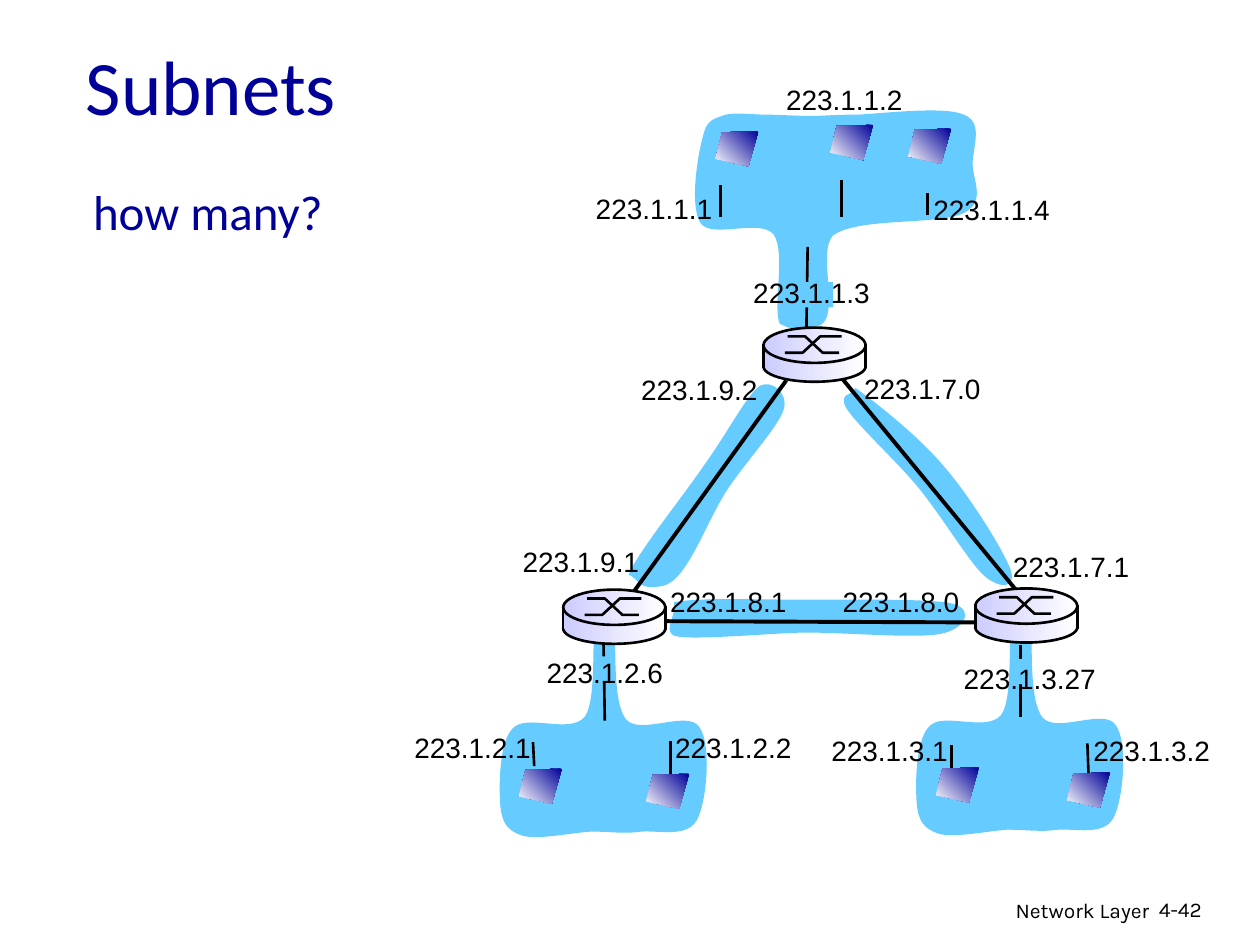
from lxml import etree
from pptx import Presentation
from pptx.dml.color import RGBColor
from pptx.enum.shapes import MSO_CONNECTOR, MSO_SHAPE
from pptx.enum.text import MSO_ANCHOR, PP_ALIGN
from pptx.oxml.ns import qn
from pptx.util import Cm, Pt

LINE = MSO_CONNECTOR.STRAIGHT
RECT, OVAL = MSO_SHAPE.RECTANGLE, MSO_SHAPE.OVAL
LEFT, RIGHT = PP_ALIGN.LEFT, PP_ALIGN.RIGHT
MID = MSO_ANCHOR.MIDDLE
U = Cm(2.54) // 100  # all places below count in this unit


class Theme:
    ink = RGBColor(0, 0, 0)
    navy = RGBColor(0, 0, 0x99)
    sky = RGBColor(0x66, 0xCC, 0xFF)
    lilac = RGBColor(0xCC, 0xCC, 0xFF)
    white = RGBColor(0xFF, 0xFF, 0xFF)
    head, body, label, foot = Pt(44), Pt(28), Pt(16), Pt(12)
    thin, thick = Pt(1.5), Pt(2.25)


def line(shapes, ends, width):
    link = shapes.add_connector(LINE, *[v * U for v in ends])
    link.line.color.rgb = Theme.ink
    link.line.width = width
    etree.SubElement(link._element.spPr, qn("a:effectLst"))


def outline(shapes, dots, close=True):
    dots = [(round(x * U), round(y * U)) for x, y in dots]
    form = shapes.build_freeform(*dots[0])
    form.add_line_segments(dots[1:], close=close)
    shape = form.convert_to_shape()
    shape.shadow.inherit = False
    return shape


prs = Presentation()
prs.slide_width, prs.slide_height = Cm(25.4), Cm(19.05)
slide = prs.slides.add_slide(prs.slide_layouts[5])
shapes = slide.shapes

# Subnet areas: a start point, then two handles and an end for each curve
leaf = [(474, 493),
        (468, 494), (475, 554), (464, 569), (452, 583), (418, 566), (407, 578),
        (396, 589), (396, 624), (397, 638), (398, 652), (402, 659), (414, 663),
        (426, 667), (453, 661), (469, 660), (485, 660), (495, 662), (509, 660),
        (523, 659), (545, 665), (553, 651), (561, 637), (565, 590), (555, 577),
        (546, 563), (508, 584), (497, 571), (486, 558), (489, 510), (488, 498),
        (486, 485), (490, 496), (488, 495), (486, 490), (481, 492), (474, 493)]
areas = [
    [(670, 320),
     (671, 329), (709, 363), (728, 386), (747, 409), (769, 446), (781, 457),
     (794, 468), (807, 467), (802, 452), (797, 438), (770, 394), (749, 370),
     (729, 346), (692, 317), (679, 308), (673, 316), (669, 311), (670, 320)],
    [(534, 504),
     (542, 509), (603, 503), (638, 502), (674, 502), (727, 507), (747, 503),
     (766, 499), (774, 484), (756, 479), (739, 475), (678, 476), (641, 476),
     (604, 476), (553, 474), (535, 478), (537, 488), (527, 499), (534, 504)],
    [(526, 465),
     (546, 461), (561, 412), (579, 386), (595, 363), (618, 338), (622, 325),
     (626, 312), (612, 300), (602, 307), (592, 315), (577, 344), (559, 369),
     (542, 394), (505, 440), (499, 456), (508, 460), (506, 469), (526, 465)],
    [(648, 259),
     (669, 256), (648, 201), (661, 187), (681, 172), (746, 179), (765, 169),
     (783, 160), (772, 143), (772, 130), (772, 117), (781, 97), (765, 91),
     (750, 84), (701, 90), (681, 91), (660, 91), (655, 92), (643, 92),
     (631, 92), (619, 91), (608, 91), (597, 91), (585, 89), (576, 91),
     (568, 94), (561, 94), (558, 108), (554, 122), (547, 163), (556, 177),
     (565, 190), (603, 173), (614, 186), (624, 200), (613, 245), (619, 257),
     (629, 261), (627, 263), (648, 259)],
    leaf,
    [(x + 330.5, y - 1.5) for x, y in leaf],
]
for area in areas:
    shape = outline(shapes, area)
    shape.fill.solid()
    shape.fill.fore_color.rgb = Theme.sky
    shape.line.fill.background()
    # Turn each three straight steps into one curve
    steps = list(shape._element.iter(qn("a:lnTo")))
    for i in range(0, len(steps), 3):
        curve = etree.Element(qn("a:cubicBezTo"))
        steps[i].addprevious(curve)
        for step in steps[i:i + 3]:
            curve.append(step[0])
            step.getparent().remove(step)

# Host and router drops
for ends in [(736, 171, 736, 153), (572, 147, 572, 172), (668, 172, 668, 143),
             (641, 196, 640, 261), (479, 510, 480, 572), (424, 608, 423, 589),
             (532, 614, 532, 588), (810, 512, 810, 569), (755, 610, 755, 591),
             (864, 616, 863, 590)]:
    line(shapes, ends, Theme.thin)

# Gaps in the drops behind their labels
for x, y, w in [(627, 224, 34), (472, 521, 14), (804, 523, 14)]:
    gap = shapes.add_shape(RECT, x * U, y * U, w * U, 20 * U)
    gap.shadow.inherit = False
    gap.fill.solid()
    gap.fill.fore_color.rgb = Theme.sky
    gap.line.fill.background()

# Links between routers
for ends in [(502, 471, 624, 302), (807, 469, 668, 300), (775, 494, 523, 493)]:
    line(shapes, ends, Theme.thick)

# Address labels
for text, x, y in [
        ("223.1.1.1", 463, 147), ("223.1.1.2", 614, 61), ("223.1.1.3", 588, 214),
        ("223.1.1.4", 731, 148), ("223.1.2.1", 319, 575), ("223.1.2.2", 526, 575),
        ("223.1.2.6", 424, 515), ("223.1.3.1", 650, 577), ("223.1.3.2", 858, 577),
        ("223.1.3.27", 755, 520), ("223.1.7.0", 676, 290), ("223.1.7.1", 794, 431),
        ("223.1.8.0", 659, 459), ("223.1.8.1", 522, 459), ("223.1.9.1", 405, 427),
        ("223.1.9.2", 499, 291)]:
    wide = 113 if len(text) == 9 else 125
    frame = shapes.add_textbox(x * U, y * U, wide * U, 37 * U).text_frame
    frame.word_wrap = False
    frame.text = text
    font = frame.paragraphs[0].runs[0].font
    font.name, font.size, font.color.rgb = "Arial", Theme.label, Theme.ink

# Title, question and footer
title = shapes.title
title.left, title.top, title.width, title.height = 58 * U, 25 * U, 405 * U, 84 * U
title.text_frame.vertical_anchor = MID
ask = shapes.add_textbox(64 * U, 146 * U, 404 * U, 508 * U)
foot = shapes.add_textbox(605 * U, 707 * U, 317 * U, 31 * U)
page = shapes.add_textbox(910 * U, 707 * U, 74 * U, 30 * U)
for box, text, face, size, color, side in [
        (title, "Subnets", "Calibri", Theme.head, Theme.navy, LEFT),
        (ask, "how many?", "Calibri", Theme.body, Theme.navy, LEFT),
        (foot, "Network Layer", "Karla", Theme.foot, Theme.ink, RIGHT),
        (page, "4-42", "Karla", Theme.foot, Theme.ink, LEFT)]:
    frame = box.text_frame
    frame.word_wrap = True
    frame.text = text
    para = frame.paragraphs[0]
    para.alignment = side
    font = para.runs[0].font
    font.name, font.size, font.color.rgb = face, size, color
ask.text_frame.paragraphs[0].line_spacing = 0.85

# Routers
for x, y in [(606, 260), (774, 467), (447, 468)]:
    group = shapes.add_group_shape().shapes
    for kind, dy, h in [(OVAL, 19, 24), (RECT, 16, 15), (OVAL, 0, 28)]:
        part = group.add_shape(kind, x * U, (y + dy) * U, 81 * U, h * U)
        part.shadow.inherit = False
        part.fill.gradient()
        part.fill.gradient_angle = 0
        for stop, color in zip(part.fill.gradient_stops, (Theme.lilac, Theme.white)):
            stop.color.rgb = color
        if kind == RECT:
            part.line.fill.background()
        else:
            part.line.color.rgb = Theme.ink
            part.line.width = Theme.thin
    for cols, rows in [((17, 31, 45, 62), (20, 20, 7, 7)),
                       ((19, 33, 47, 60), (7, 7, 20, 20))]:
        arm = outline(group, [(x + a, y + b) for a, b in zip(cols, rows)], False)
        arm.fill.background()
        arm.line.color.rgb = Theme.ink
        arm.line.width = Theme.thin
    for dx in (0, 81):
        line(group, (x + dx, y + 13, x + dx, y + 32), Theme.thin)

# Hosts
for x, y in [(721, 102), (568, 104), (659, 99), (847, 613), (743, 609),
             (412, 610), (513, 614)]:
    host = outline(shapes, [(x + 34, y), (x + 5, y + 1), (x, y + 22),
                            (x + 26, y + 28)])
    host.fill.gradient()
    host.fill.gradient_angle = 225
    for stop, color in zip(host.fill.gradient_stops, (Theme.navy, Theme.white)):
        stop.color.rgb = color
    host.line.fill.background()

prs.save("out.pptx")
